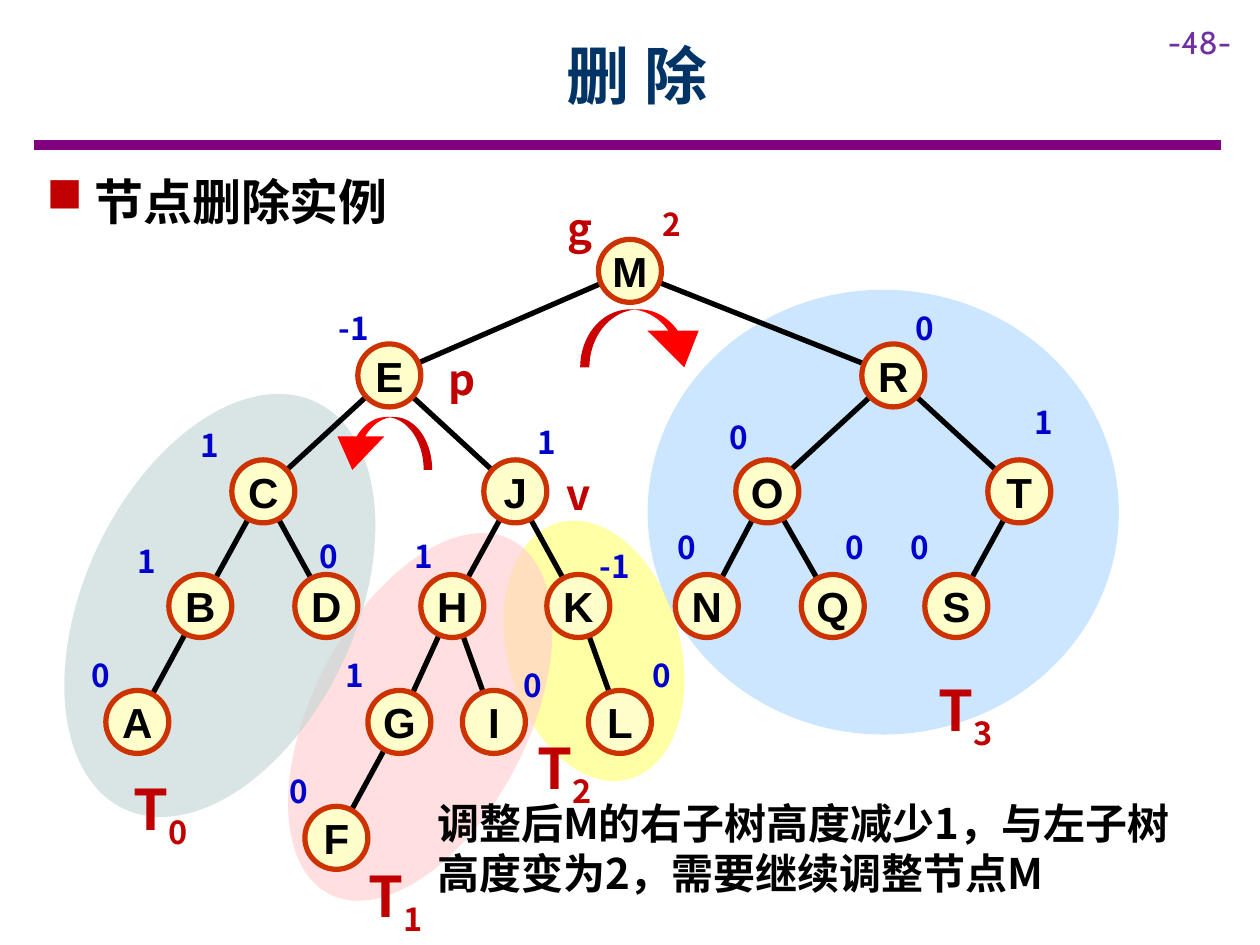
import pptx
import pptx.util
import pptx.dml.color
import pptx.enum.shapes
import pptx.enum.text
import pptx.oxml
import pptx.oxml.ns
import math

MSO_SHAPE = pptx.enum.shapes.MSO_SHAPE
ALIGN = pptx.enum.text.PP_ALIGN
ANCHOR = pptx.enum.text.MSO_ANCHOR
Inches = pptx.util.Inches
Pt = pptx.util.Pt

CJK = "Noto Sans CJK SC"
BLUE, RED, BLACK = "0000CC", "C00000", "000000"
DIAMETER = 0.5
EDGE_TRIM = 0.09
LEVELS = (2.15, 2.98, 3.9, 4.81, 5.73, 6.65)

NODES = {
    "M": (5.0, 0, None, "2", 0.16, -0.57),
    "E": (3.09, 1, "M", "-1", -0.5, -0.58),
    "R": (7.09, 1, "M", "0", 0.08, -0.58),
    "C": (2.09, 2, "E", "1", -0.6, -0.57),
    "J": (4.09, 2, "E", "1", 0.08, -0.59),
    "O": (6.09, 2, "R", "0", -0.4, -0.63),
    "T": (8.09, 2, "R", "1", 0.02, -0.75),
    "B": (1.59, 3, "C", "1", -0.6, -0.56),
    "D": (2.59, 3, "C", "0", -0.15, -0.6),
    "H": (3.59, 3, "J", "1", -0.4, -0.6),
    "K": (4.59, 3, "J", "-1", 0.07, -0.52),
    "N": (5.61, 3, "O", "0", -0.33, -0.67),
    "Q": (6.61, 3, "O", "0", 0, -0.67),
    "S": (7.59, 3, "T", "0", -0.46, -0.67),
    "A": (1.09, 4, "B", "0", -0.46, -0.57),
    "G": (3.17, 4, "H", "1", -0.53, -0.57),
    "I": (3.92, 4, "H", "0", 0.14, -0.49),
    "L": (4.92, 4, "K", "0", 0.16, -0.57),
    "F": (2.67, 5, "G", "0", -0.47, -0.57),
}
SUBTREES = [
    ((5.14, 2.3, 3.74, 3.53), 0, "70B8FF", 35),
    ((4.03, 4.11, 1.37, 2.11), 344.6, "FFFF00", 35),
    ((2.48, 4.11, 1.71, 3.16), 27.2, "FFCCCC", 62),
    ((0.67, 3.02, 2.15, 3.57), 25.2, "C2D6D6", 62),
]
SUBTREE_NAMES = [("0", 0.96, 6.1), ("1", 2.83, 6.79), ("2", 4.17, 5.77), ("3", 7.35, 5.31)]
POINTERS = [("g", 4.41, 1.56, 0.43), ("p", 3.46, 2.76, 0.43), ("v", 4.4, 3.67, 0.4)]
ROTATIONS = [((2.81, 3.11, 0.42, 0.82), True), ((4.89, 2.17, 0.46, 1.03), False)]


def color(value):
    return pptx.dml.color.RGBColor.from_string(value)


def child(parent, tag, **attributes):
    element = pptx.oxml.parse_xml(f"<a:{tag} {pptx.oxml.ns.nsdecls('a')}/>")
    for name, value in attributes.items():
        element.set(name, value)
    parent.append(element)
    return element


def place(box):
    return [Inches(length) for length in box]


def add_run(paragraph, text, size, value, font=CJK, bold=True):
    run = paragraph.add_run()
    run.text = text
    for name, setting in {"name": font, "size": Pt(size), "bold": bold}.items():
        setattr(run.font, name, setting)
    run.font.color.rgb = color(value)
    child(run.font._element, "ea", typeface=font)
    return run


def add_text(slide, box, text, size, value, wrap=False, **settings):
    frame = slide.shapes.add_textbox(*place(box)).text_frame
    frame.word_wrap = wrap
    add_run(frame.paragraphs[0], text, size, value, **settings)
    return frame.paragraphs[0]


def add_shape(slide, kind, box, fill, line=None, rotation=0):
    shape = slide.shapes.add_shape(kind, *place(box))
    shape.shadow.inherit = False
    shape.rotation = rotation
    shape.fill.solid()
    shape.fill.fore_color.rgb = color(fill)
    if line:
        shape.line.color.rgb = color(line)
        shape.line.width = Pt(3)
    else:
        shape.line.fill.background()
    return shape


def add_line(slide, start, end, value, width):
    straight = pptx.enum.shapes.MSO_CONNECTOR.STRAIGHT
    connector = slide.shapes.add_connector(straight, *place((*start, *end)))
    connector.line.color.rgb = color(value)
    connector.line.width = Pt(width)
    child(connector._element.spPr, "effectLst")


def center(letter):
    x, level = NODES[letter][:2]
    return x, LEVELS[level]


def add_edge(slide, parent, letter):
    (x1, y1), (x2, y2) = center(parent), center(letter)
    share = EDGE_TRIM / math.dist((x1, y1), (x2, y2))
    dx, dy = (x2 - x1) * share, (y2 - y1) * share
    add_line(slide, (x1 + dx, y1 + dy), (x2 - dx, y2 - dy), BLACK, 3)


def add_node(slide, letter):
    x, y = center(letter)
    box = (x - DIAMETER / 2, y - DIAMETER / 2, DIAMETER, DIAMETER)
    frame = add_shape(slide, MSO_SHAPE.OVAL, box, "FFFFCC", "CC3300").text_frame
    settings = {"margin_left": 0, "margin_right": 0, "margin_top": 0, "margin_bottom": 0,
                "word_wrap": False, "vertical_anchor": ANCHOR.MIDDLE}
    for name, setting in settings.items():
        setattr(frame, name, setting)
    frame.paragraphs[0].alignment = ALIGN.CENTER
    add_run(frame.paragraphs[0], letter, 24, BLACK, font="Arial")


def add_balance(slide, letter):
    balance, dx, dy = NODES[letter][3:]
    x, y = center(letter)
    width = 0.25 + 0.11 * len(balance)
    value = RED if balance == "2" else BLUE
    add_text(slide, (x + dx, y + dy, width, 0.4), balance, 18, value)


def add_heading(slide):
    title = slide.shapes.title
    for name, length in zip(("left", "top", "width", "height"), place((0.9, 0.09, 8.31, 1))):
        setattr(title, name, length)
    title.text_frame.vertical_anchor = ANCHOR.MIDDLE
    title.text_frame.paragraphs[0].alignment = ALIGN.CENTER
    add_run(title.text_frame.paragraphs[0], "删 除", 36, "003366")
    add_line(slide, (0.27, 1.15), (9.69, 1.15), "800080", 6)
    add_text(slide, (9.17, 0.13, 0.83, 0.4), "-48-", 18, "7030A0", True, font="Cabin", bold=False)
    paragraph = add_text(slide, (0.27, 1.31, 6.5, 0.57), "节点删除实例", 28, BLACK, True)
    properties = paragraph._element.get_or_add_pPr()
    properties.set("marL", str(Inches(0.38)))
    properties.set("indent", str(-Inches(0.38)))
    child(child(properties, "buClr"), "srgbClr", val=RED)
    child(properties, "buChar", char="■")
    paragraph.space_after = Pt(6)


def main():
    presentation = pptx.Presentation()
    presentation.slide_width, presentation.slide_height = place((10, 7.5))
    slide = presentation.slides.add_slide(presentation.slide_layouts[5])
    for box, rotation, fill, opacity in SUBTREES:
        region = add_shape(slide, MSO_SHAPE.OVAL, box, fill, rotation=rotation)
        fill_color = region._element.spPr.find(".//" + pptx.oxml.ns.qn("a:srgbClr"))
        child(fill_color, "alpha", val=str(opacity * 1000))
    add_heading(slide)
    for letter, node in NODES.items():
        if node[2]:
            add_edge(slide, node[2], letter)
    for letter in NODES:
        add_node(slide, letter)
        add_balance(slide, letter)
    note = "调整后M的右子树高度减少1，与左子树高度变为2，需要继续调整节点M"
    add_text(slide, (3.37, 6.28, 6.32, 0.91), note, 24, BLACK, True).space_after = Pt(6)
    for name, left, top, width in POINTERS:
        add_text(slide, (left, top, width, 0.5), name, 24, RED)
    for box, flipped in ROTATIONS:
        arrow = add_shape(slide, MSO_SHAPE.CURVED_LEFT_ARROW, box, "FF0000", rotation=270)
        for index, adjustment in enumerate((0.16, 0.886, 0.633)):
            arrow.adjustments[index] = adjustment
        if flipped:
            arrow._element.spPr.xfrm.set("flipV", "1")
    for number, left, top in SUBTREE_NAMES:
        paragraph = add_text(slide, (left, top, 0.67, 0.64), "T", 32, RED)
        add_run(paragraph, number, 32, RED).font._element.set("baseline", "-25000")
    presentation.save("out.pptx")


if __name__ == "__main__":
    main()
